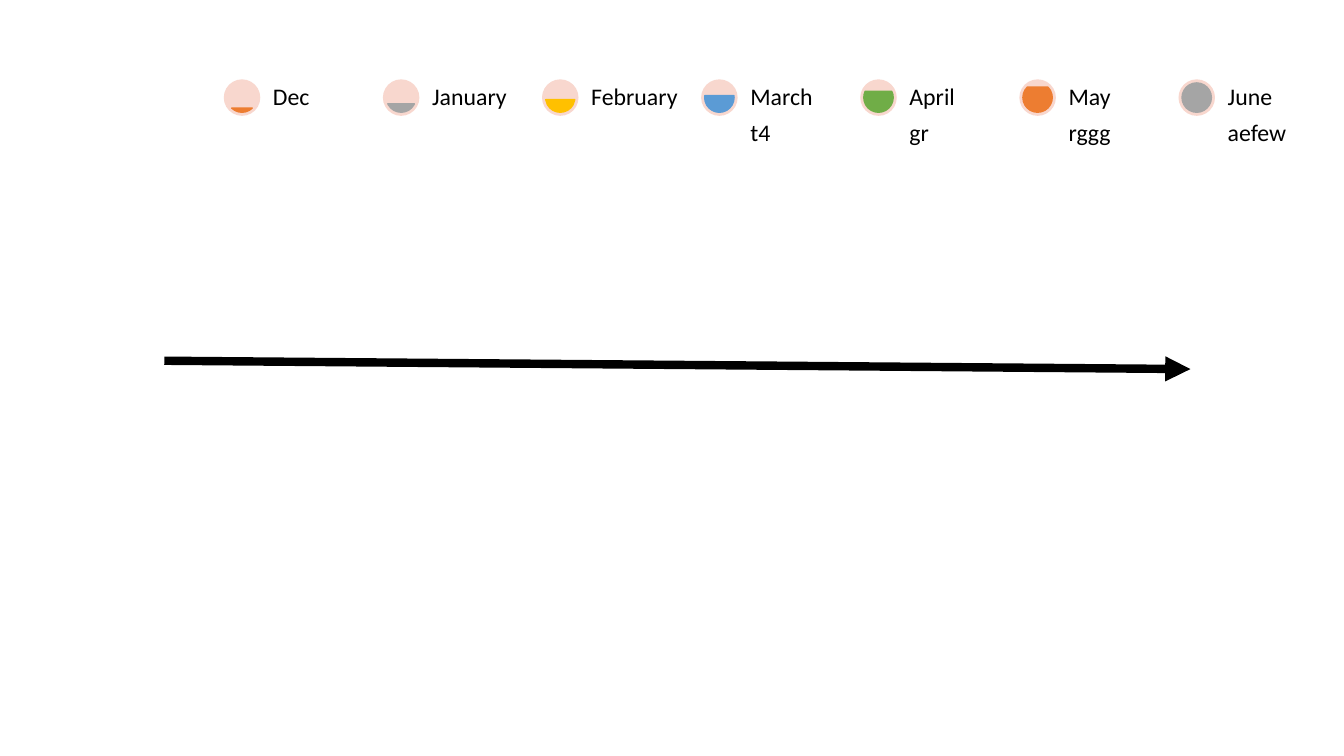
import math
from dataclasses import dataclass

import lxml.etree
import pptx
import pptx.dml.color
import pptx.enum.shapes
import pptx.enum.text
import pptx.oxml.ns
import pptx.shapes.autoshape
import pptx.shapes.shapetree
import pptx.util

Cm = pptx.util.Cm
RGBColor = pptx.dml.color.RGBColor
Shape = pptx.enum.shapes.MSO_SHAPE
Anchor = pptx.enum.text.MSO_ANCHOR

# Colours
BLACK = RGBColor(0x00, 0x00, 0x00)
PALE_PINK = RGBColor(0xF8, 0xD7, 0xCE)
ORANGE = RGBColor(0xED, 0x7D, 0x31)
GREY = RGBColor(0xA5, 0xA5, 0xA5)
GOLD = RGBColor(0xFF, 0xC0, 0x00)
BLUE = RGBColor(0x5B, 0x9B, 0xD5)
GREEN = RGBColor(0x70, 0xAD, 0x47)

# Month grid, in centimetres
FIRST_LEFT, TOP, PITCH = 5.64, 2.0, 4.01
DISC_SIZE, RIM = 0.92, 0.09
LABEL_OFFSET, LABEL_WIDTH, DETAIL_HEIGHT = 1.11, 2.72, 3.86
TEXT_INSET = 0.13


@dataclass
class Month:
    name: str
    color: RGBColor
    detail: str = ""


MONTHS = [
    Month("Dec ", ORANGE),
    Month("January", GREY),
    Month("February", GOLD),
    Month("March", BLUE, "t4"),
    Month("April", GREEN, "gr"),
    Month("May", ORANGE, "rggg"),
    Month("June", GREY, "aefew"),
]


def add_round_shape(shapes: pptx.shapes.shapetree.GroupShapes, kind: Shape, left: float,
                    top: float, size: float, color: RGBColor) -> pptx.shapes.autoshape.Shape:
    shape = shapes.add_shape(kind, Cm(left), Cm(top), Cm(size), Cm(size))
    shape.shadow.inherit = False
    shape.fill.solid()
    shape.fill.fore_color.rgb = color
    shape.line.fill.background()
    return shape


def add_level(shapes: pptx.shapes.shapetree.GroupShapes, left: float, share: float,
              color: RGBColor) -> None:
    """Fill the disc from the bottom up to the given share of its height."""
    chord = add_round_shape(shapes, Shape.CHORD, left + RIM, TOP + RIM,
                            DISC_SIZE - 2 * RIM, color)
    chord.line.color.rgb = color
    chord.line.width = pptx.util.Pt(1)
    angle = math.degrees(math.asin(1 - 2 * share))
    # Angles are stored in 60000ths of a degree, adjustments in 100000ths
    chord.adjustments[0] = angle % 360 * 0.6
    chord.adjustments[1] = (180 - angle) * 0.6


def add_label(shapes: pptx.shapes.shapetree.GroupShapes, text: str, left: float, top: float,
              height: float, anchor: Anchor) -> None:
    box = shapes.add_textbox(Cm(left), Cm(top), Cm(LABEL_WIDTH), Cm(height))
    frame = box.text_frame
    frame.word_wrap = True
    frame.vertical_anchor = anchor
    frame.margin_left = frame.margin_right = Cm(TEXT_INSET)
    frame.margin_top = frame.margin_bottom = Cm(TEXT_INSET)
    paragraph = frame.paragraphs[0]
    paragraph.line_spacing = 0.9
    run = paragraph.add_run()
    run.text = text
    run.font.name = "Calibri"
    run.font.size = pptx.util.Pt(17)
    run.font.color.rgb = BLACK


presentation = pptx.Presentation()
presentation.slide_width, presentation.slide_height = Cm(33.87), Cm(19.05)
slide = presentation.slides.add_slide(presentation.slide_layouts[6])

# Months, each disc one step fuller than the one before
month_shapes = slide.shapes.add_group_shape().shapes
for index, month in enumerate(MONTHS):
    disc_left = FIRST_LEFT + index * PITCH
    label_left = disc_left + LABEL_OFFSET
    add_round_shape(month_shapes, Shape.OVAL, disc_left, TOP, DISC_SIZE, PALE_PINK)
    add_level(month_shapes, disc_left, (index + 1) / len(MONTHS), month.color)
    if month.detail:
        add_label(month_shapes, month.detail, label_left, TOP + DISC_SIZE,
                  DETAIL_HEIGHT, Anchor.TOP)
    add_label(month_shapes, month.name, label_left, TOP, DISC_SIZE, Anchor.BOTTOM)

# Timeline arrow
timeline = slide.shapes.add_connector(pptx.enum.shapes.MSO_CONNECTOR.STRAIGHT,
                                      Cm(4.14), Cm(9.09), Cm(30.0), Cm(9.3))
timeline.line.color.rgb = BLACK
timeline.line.width = pptx.util.Pt(6)
qualified = pptx.oxml.ns.qn
lxml.etree.SubElement(timeline.line._get_or_add_ln(), qualified("a:tailEnd"), type="triangle")
lxml.etree.SubElement(timeline._element.spPr, qualified("a:effectLst"))

presentation.save("out.pptx")
